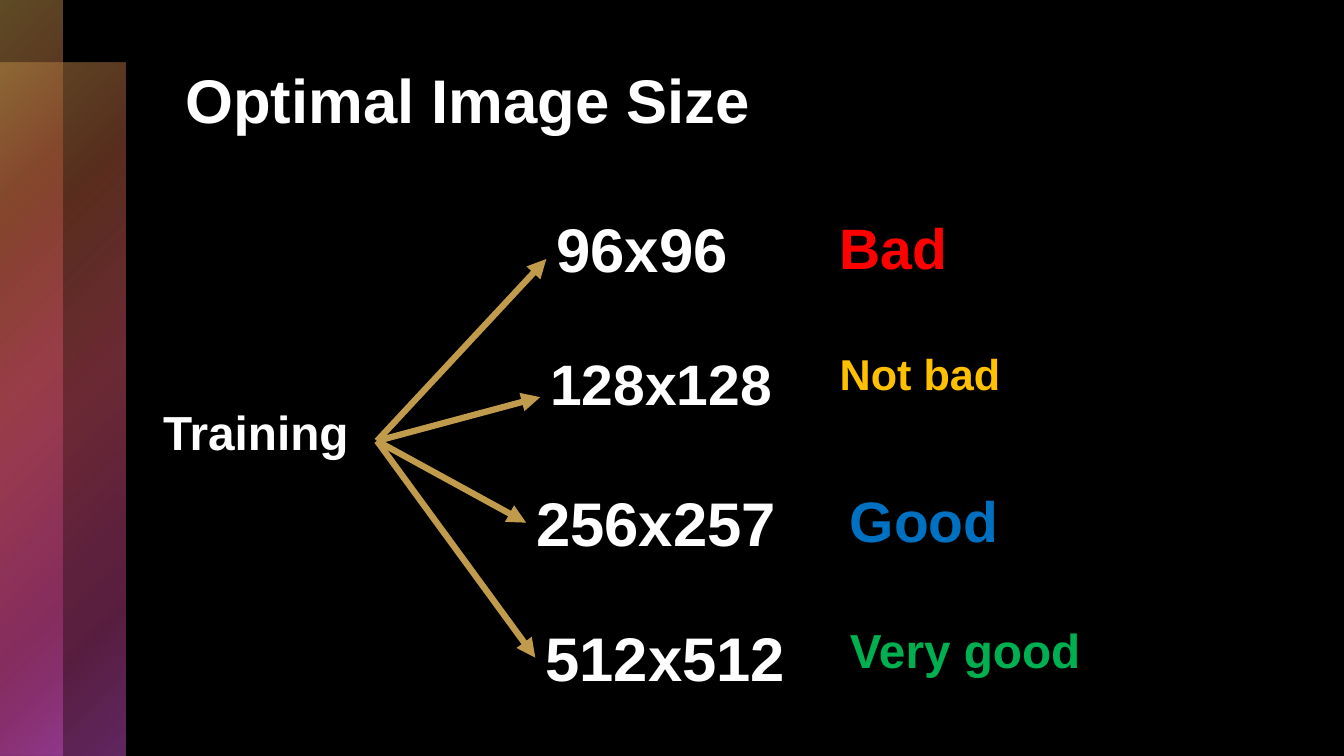
from pptx import Presentation
from pptx.dml.color import RGBColor
from pptx.enum.shapes import MSO_CONNECTOR, MSO_SHAPE
from pptx.oxml import parse_xml
from pptx.oxml.ns import nsdecls, qn
from pptx.util import Inches, Pt
from lxml.etree import SubElement

BLACK = RGBColor(0, 0, 0)
WHITE = RGBColor(255, 255, 255)
GOLD = RGBColor(0xC1, 0x9B, 0x4C)
RUST = RGBColor(0xB1, 0x5A, 0x3B)
ROSE = RGBColor(0xC3, 0x4D, 0x5F)
PLUM = RGBColor(0xB1, 0x3B, 0x7F)
VIOLET = RGBColor(0xC3, 0x4D, 0xC2)
RED = RGBColor(255, 0, 0)
AMBER = RGBColor(255, 0xC0, 0)
BLUE = RGBColor(0, 0x70, 0xC0)
GREEN = RGBColor(0, 0xB0, 0x50)

# position in percent, colour, opacity in percent
STOPS = [(0, GOLD, 50), (25, RUST, 50), (50, ROSE, 55),
         (81, PLUM, 50), (99, VIOLET, 50)]

# wording, size in points, box
SIZES = [
    ("96x96", 44, (40.65, 26.4, 19.58, 15.73)),
    ("128x128", 40.7, (40.2, 44.67, 19.58, 15.73)),
    ("256x257", 44, (39.15, 62.67, 22.58, 12.93)),
    ("512x512", 44, (39.83, 80.53, 22.58, 12.93)),
]

# wording, size in points, colour, box
GRADES = [
    ("Bad", 40.7, RED, (61.74, 28.4, 14.78, 9.07)),
    ("Not bad", 30.8, AMBER, (61.74, 45.87, 14.78, 9.07)),
    ("Good", 40.7, BLUE, (62.49, 64.53, 14.78, 9.07)),
    ("Very good", 34.1, GREEN, (62.49, 82.13, 19.13, 12.93)),
]


class Deck:
    """Places elements in boxes given as percent of the slide's size."""
    font = "Arial"

    def __init__(self):
        self.show = Presentation()
        self.show.slide_width = Inches(13.33)
        self.show.slide_height = Inches(7.5)
        self.slide = self.show.slides.add_slide(self.show.slide_layouts[6])
        fill = self.slide.background.fill
        fill.solid()
        fill.fore_color.rgb = BLACK

    def place(self, box):
        wide, high = self.show.slide_width, self.show.slide_height
        return [round(part * side / 100)
                for part, side in zip(box, (wide, high, wide, high))]

    def bar(self, box):
        """Add a translucent bar whose colours spread from its top left."""
        bar = self.slide.shapes.add_shape(MSO_SHAPE.RECTANGLE, *self.place(box))
        bar.shadow.inherit = False
        bar.line.fill.background()
        bar.fill.background()
        stops = "".join(
            f'<a:gs pos="{pos * 1000}"><a:srgbClr val="{tint}">'
            f'<a:alpha val="{alpha * 1000}"/></a:srgbClr></a:gs>'
            for pos, tint, alpha in STOPS)
        blend = parse_xml(
            f'<a:gradFill {nsdecls("a")} rotWithShape="1">'
            f'<a:gsLst>{stops}</a:gsLst><a:path path="circle">'
            '<a:fillToRect r="100000" b="100000"/></a:path></a:gradFill>')
        props = bar._element.spPr
        props.replace(props.find(qn("a:noFill")), blend)

    def text(self, words, size, box, tint=WHITE, pitch=None):
        label = self.slide.shapes.add_textbox(*self.place(box))
        frame = label.text_frame
        frame.word_wrap = True
        frame.margin_top = Inches(0.11)
        para = frame.paragraphs[0]
        para.text = words
        para.line_spacing = pitch
        para.font.name = self.font
        para.font.size = Pt(size)
        para.font.bold = True
        para.font.color.rgb = tint
        return label

    def arrow(self, start, end):
        """Join the right side of one box to the left side of another."""
        line = self.slide.shapes.add_connector(
            MSO_CONNECTOR.STRAIGHT, 0, 0, 0, 0)
        line.begin_connect(start, 3)
        line.end_connect(end, 1)
        line.line.color.rgb = GOLD
        line.line.width = Pt(4.5)
        SubElement(line.line._get_or_add_ln(), qn("a:tailEnd"), type="triangle")
        SubElement(line._element.spPr, qn("a:effectLst"))


def main():
    deck = Deck()
    deck.bar((0, 8.27, 9.3, 91.73))
    deck.bar((0, 0, 4.65, 100))
    deck.text("Optimal Image Size", 44, (13.05, 6.67, 77.8, 20.93))
    source = deck.text("Training", 34.1, (11.4, 53.33, 16.65, 10), pitch=0.8)
    for words, size, box in SIZES:
        deck.arrow(source, deck.text(words, size, box))
    for words, size, tint, box in GRADES:
        deck.text(words, size, box, tint, 0.8)
    deck.show.save("out.pptx")


if __name__ == "__main__":
    main()
